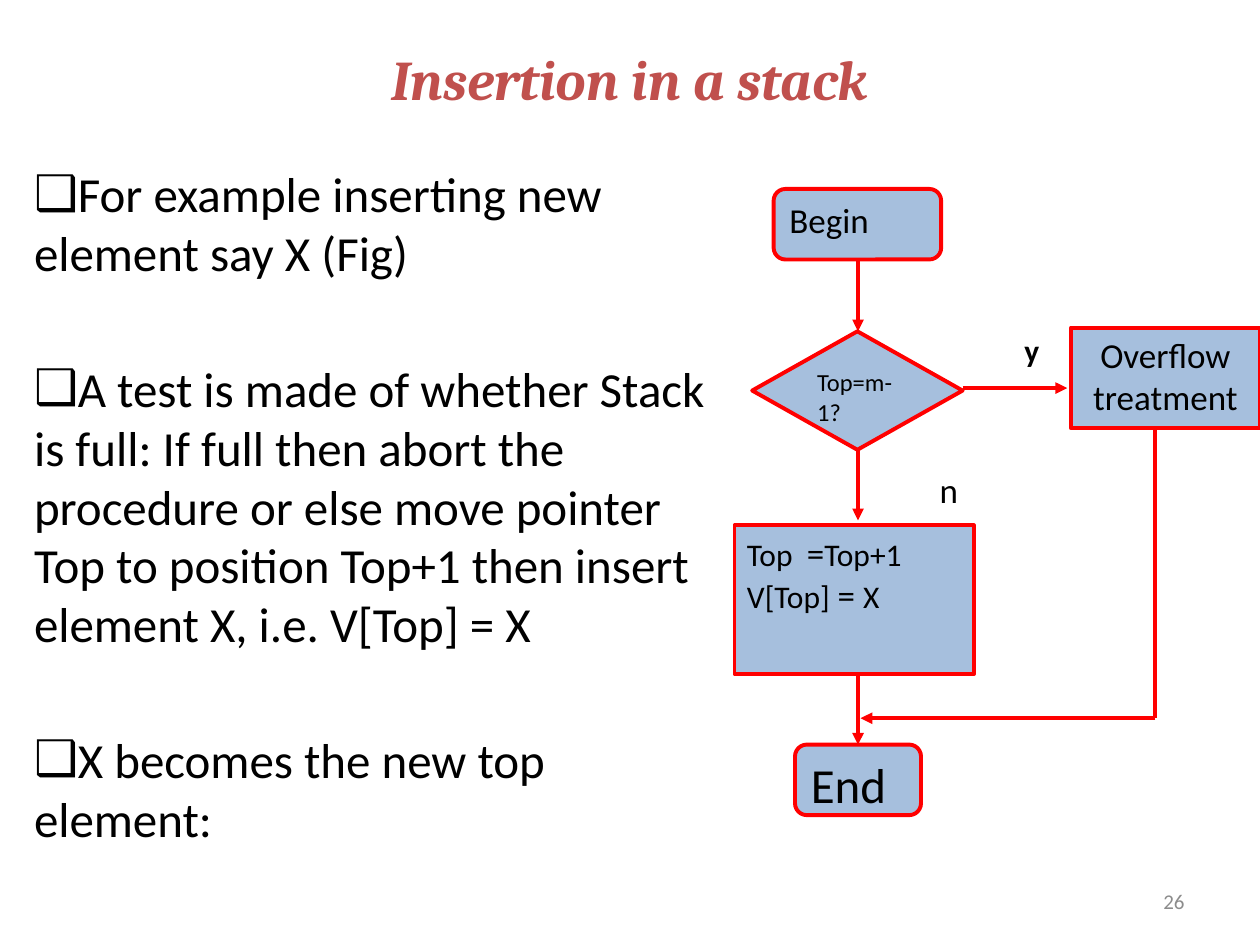
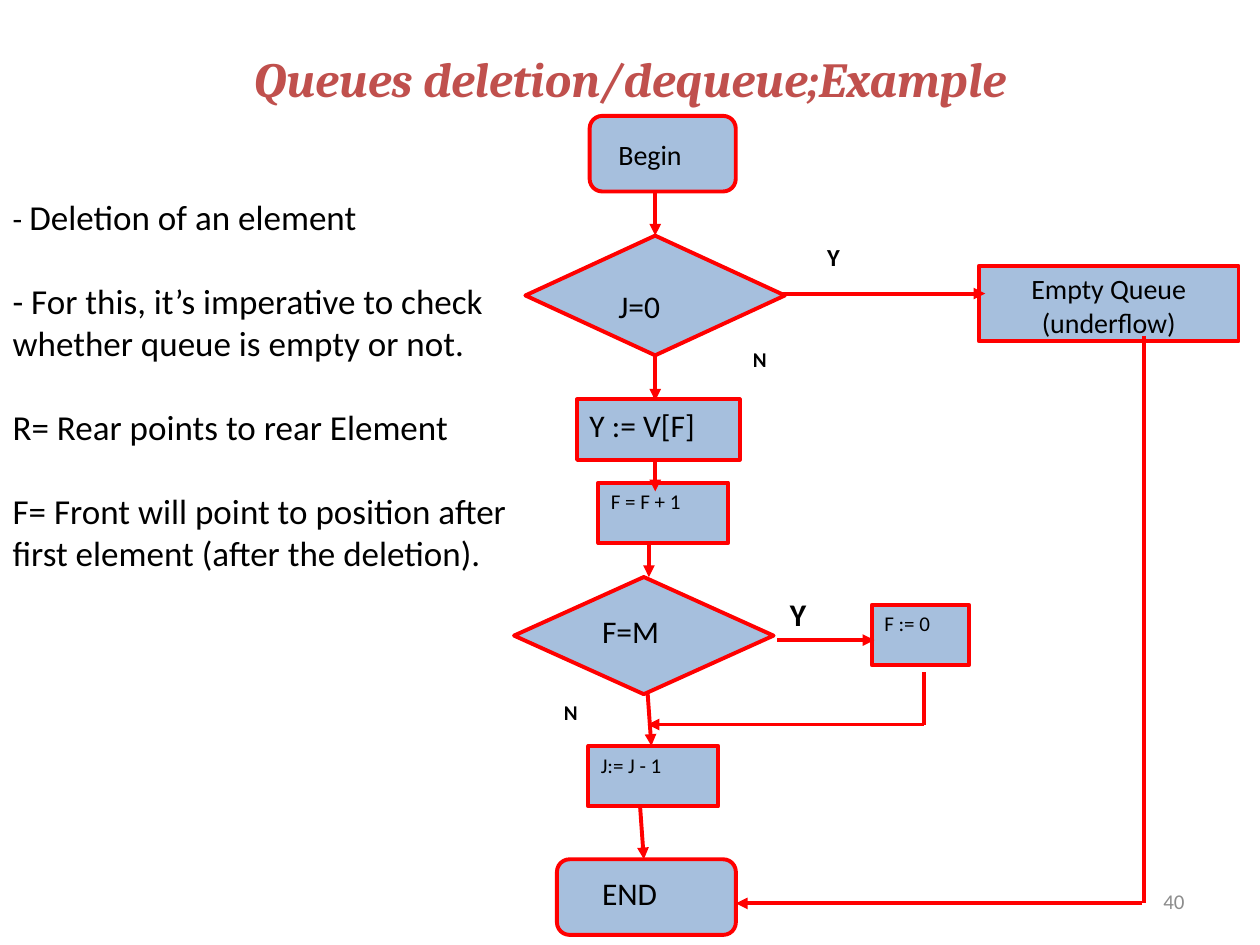
from lxml import etree
from pptx import Presentation
from pptx import util as u
from pptx.dml import color
from pptx.enum import shapes, text
from pptx.oxml import ns

# Shared look
RED, BLUE, BLACK, GREY, TITLE = "FF0000", "4F81BD", "000000", "8C8C8C", "C0504D"
FILL_ALPHA = 50
LINE_WIDTH = 2.25
TITLE_AT = (0.5, 0.24, 9, 0.76)
NUMBER_AT = (7.17, 6.95, 2.33, 0.4)
LEFT, CENTER, RIGHT = text.PP_ALIGN.LEFT, text.PP_ALIGN.CENTER, text.PP_ALIGN.RIGHT
TOP, MIDDLE = text.MSO_ANCHOR.TOP, text.MSO_ANCHOR.MIDDLE
FORM = shapes.MSO_SHAPE

# Main flow axes of the two charts
STACK_X, QUEUE_X = 6.81, 5.2

# Steps: form, place, wording, size, alignment
# Links: x1, y1, x2, y2, arrowhead at the end
# Labels: place, wording, size, bold, alignment
SLIDES = [
    {
        "title": ("Insertion in a stack", 32),
        "number": "26",
        "body": {
            "at": (0.17, 1.25, 5.58, 6.08), "size": 28, "gap": 44, "bullet": "❑",
            "items": [
                "For example inserting new element say X (Fig)",
                "A test is made of whether Stack is full: If full then abort the "
                "procedure or else move pointer Top to position Top+1 then insert "
                "element X, i.e. V[Top] = X",
                "X becomes the new top element:",
            ],
        },
        "steps": [
            (FORM.ROUNDED_RECTANGLE, (6.14, 1.5, 1.33, 0.56), "Begin", 20, LEFT),
            (FORM.DIAMOND, (5.97, 2.63, 1.67, 0.94), "Top=m-1?", 14, LEFT),
            (FORM.RECTANGLE, (5.83, 4.17, 1.9, 1.18),
             [[("Top  ", 18), ("=", 20), ("Top+1", 18)],
              [("V[Top]", 18), (" = ", 20), ("X", 18)]], 18, LEFT),
            (FORM.FLOWCHART_ALTERNATE_PROCESS, (6.31, 5.91, 1, 0.56), "End", 28, LEFT),
            (FORM.RECTANGLE, (8.5, 2.6, 1.5, 0.8), "Overflow treatment", 20, CENTER),
        ],
        "links": [(STACK_X, start, STACK_X, end, True)
                  for start, end in [(2.06, 2.63), (3.57, 4.13), (5.35, 5.91)]] + [
            (7.64, 3.08, 8.47, 3.08, True),
            (9.17, 3.4, 9.17, 5.7, False),
            (9.17, 5.7, 6.83, 5.7, True),
        ],
        "labels": [
            ((8, 2.58, 0.38, 0.47), "y", 18, True, CENTER),
            ((7.33, 3.67, 0.4, 0.45), "n", 20, False, CENTER),
        ],
    },
    {
        "title": ("Queues deletion/dequeue;Example", 28),
        "number": "40",
        "body": {
            "at": (0, 1.5, 4.33, 3.43), "size": 20, "gap": 24, "bullet": None,
            "items": [
                [("- ", 18), ("Deletion of an element", 20)],
                "- For this, it’s imperative to check whether queue is empty or not.",
                "R= Rear points to rear Element",
                "F= Front will point to position after first element (after the deletion).",
            ],
        },
        "steps": [
            (FORM.FLOWCHART_ALTERNATE_PROCESS, (4.68, 0.92, 1.16, 0.6), "", 16, LEFT),
            (FORM.FLOWCHART_DECISION, (4.17, 1.87, 2.06, 0.95), "", 18, LEFT),
            (FORM.RECTANGLE, (7.77, 2.11, 2.06, 0.6), "Empty Queue (underflow)", 16, CENTER),
            (FORM.RECTANGLE, (4.58, 3.17, 1.29, 0.48), "Y := V[F]", 18, LEFT),
            (FORM.RECTANGLE, (4.75, 3.83, 1.03, 0.48), "F = F + 1", 12, LEFT),
            (FORM.FLOWCHART_DECISION, (4.08, 4.58, 2.06, 0.93), "", 18, LEFT),
            (FORM.RECTANGLE, (6.92, 4.8, 0.77, 0.48), "F := 0", 12, LEFT),
            (FORM.RECTANGLE, (4.67, 5.92, 1.03, 0.48), "J:= J - 1", 12, LEFT),
            (FORM.FLOWCHART_ALTERNATE_PROCESS, (4.42, 6.82, 1.42, 0.6), "", 18, LEFT),
        ],
        "links": [(QUEUE_X, start, QUEUE_X, end, True)
                  for start, end in [(1.51, 1.87), (2.82, 3.18), (3.67, 3.9)]] + [
            (5.15, 4.29, 5.15, 4.58, True),
            (5.14, 5.5, 5.17, 5.92, True),
            (5.08, 6.4, 5.11, 6.82, True),
            (6.2, 2.33, 7.82, 2.33, True),
            (9.08, 2.67, 9.08, 7.17, False),
            (9.06, 7.17, 5.84, 7.17, True),
            (6.17, 5.08, 6.94, 5.08, True),
            (7.33, 5.75, 7.33, 5.33, False),
            (7.33, 5.75, 5.14, 5.75, True),
        ],
        "labels": [
            ((4.81, 1.04, 0.77, 0.36), "Begin", 16, False, LEFT),
            ((4.81, 2.23, 0.77, 0.36), "J=0", 18, False, LEFT),
            ((4.68, 4.81, 1.11, 0.36), "F=M", 18, False, LEFT),
            ((4.68, 6.89, 0.9, 0.36), "END", 18, False, LEFT),
            ((6.1, 1.87, 1.03, 0.38), "Y", 14, True, CENTER),
            ((6.17, 4.67, 0.64, 0.36), "Y", 18, True, LEFT),
            ((5.58, 2.7, 0.9, 0.36), "N", 12, True, CENTER),
            ((4.08, 5.5, 0.9, 0.36), "N", 12, True, CENTER),
        ],
    },
]


def rgb(value):
    return color.RGBColor.from_string(value)


def inches(values):
    return [u.Inches(value) for value in values]


def child(parent, tag, **attributes):
    return etree.SubElement(parent, ns.qn(tag), attributes)


def apply(target, values):
    for name, value in values.items():
        setattr(target, name, value)


def place(part, at):
    apply(part, dict(zip(("left", "top", "width", "height"), inches(at))))


def set_bullet(paragraph, bullet):
    properties = paragraph._p.get_or_add_pPr()
    apply_indent = {"marL": "0", "indent": "0"}
    for name, value in apply_indent.items():
        properties.set(name, value)
    if bullet:
        child(properties, "a:buChar", char=bullet)
    else:
        child(properties, "a:buNone")


def write(frame, paragraphs, size, ink=BLACK, font="Calibri", bold=False,
          italic=False, align=LEFT, anchor=TOP, gap=0):
    """Each paragraph is a string or a list of (wording, size) runs."""
    apply(frame, {"word_wrap": True, "auto_size": text.MSO_AUTO_SIZE.NONE,
                  "vertical_anchor": anchor})
    for index, runs in enumerate(paragraphs):
        paragraph = frame.add_paragraph() if index else frame.paragraphs[0]
        apply(paragraph, {"alignment": align,
                          "space_before": u.Pt(gap if index else 0)})
        for wording, run_size in [(runs, size)] if isinstance(runs, str) else runs:
            run = paragraph.add_run()
            run.text = wording
            apply(run.font, {"name": font, "size": u.Pt(run_size),
                             "bold": bold, "italic": italic})
            run.font.color.rgb = rgb(ink)


def stroke(line):
    line.color.rgb = rgb(RED)
    line.width = u.Pt(LINE_WIDTH)


def add_step(slide, form, at, wording, size, align):
    step = slide.shapes.add_shape(form, *inches(at))
    step.shadow.inherit = False
    step.fill.solid()
    step.fill.fore_color.rgb = rgb(BLUE)
    tint = step._element.spPr.find(".//" + ns.qn("a:srgbClr"))
    child(tint, "a:alpha", val=str(FILL_ALPHA * 1000))
    stroke(step.line)
    if wording:
        paragraphs = [wording] if isinstance(wording, str) else wording
        write(step.text_frame, paragraphs, size, align=align)


def add_link(slide, x1, y1, x2, y2, arrow):
    link = slide.shapes.add_connector(shapes.MSO_CONNECTOR.STRAIGHT,
                                      *inches((x1, y1, x2, y2)))
    stroke(link.line)
    if arrow:
        child(link.line._get_or_add_ln(), "a:tailEnd", type="triangle")
    child(link._element.spPr, "a:effectLst")


def add_label(slide, at, wording, size, **look):
    label = slide.shapes.add_textbox(*inches(at))
    write(label.text_frame, [wording], size, **look)


def add_body(slide, body):
    notes = slide.placeholders[1]
    place(notes, body["at"])
    write(notes.text_frame, body["items"], body["size"], gap=body["gap"])
    for paragraph in notes.text_frame.paragraphs:
        set_bullet(paragraph, body["bullet"])


def build(deck, content):
    slide = deck.slides.add_slide(deck.slide_layouts[1])

    # Title and page number
    heading, size = content["title"]
    place(slide.shapes.title, TITLE_AT)
    write(slide.shapes.title.text_frame, [heading], size, ink=TITLE, font="Cambria",
          bold=True, italic=True, align=CENTER, anchor=MIDDLE)
    add_label(slide, NUMBER_AT, content["number"], 12, ink=GREY,
              align=RIGHT, anchor=MIDDLE)

    # Explanation
    add_body(slide, content["body"])

    # Flow chart
    for step in content["steps"]:
        add_step(slide, *step)
    for link in content["links"]:
        add_link(slide, *link)
    for at, wording, size, bold, align in content["labels"]:
        add_label(slide, at, wording, size, bold=bold, align=align)


def main():
    deck = Presentation()
    apply(deck, {"slide_width": u.Inches(10), "slide_height": u.Inches(7.5)})
    for content in SLIDES:
        build(deck, content)
    deck.save("out.pptx")


if __name__ == "__main__":
    main()
